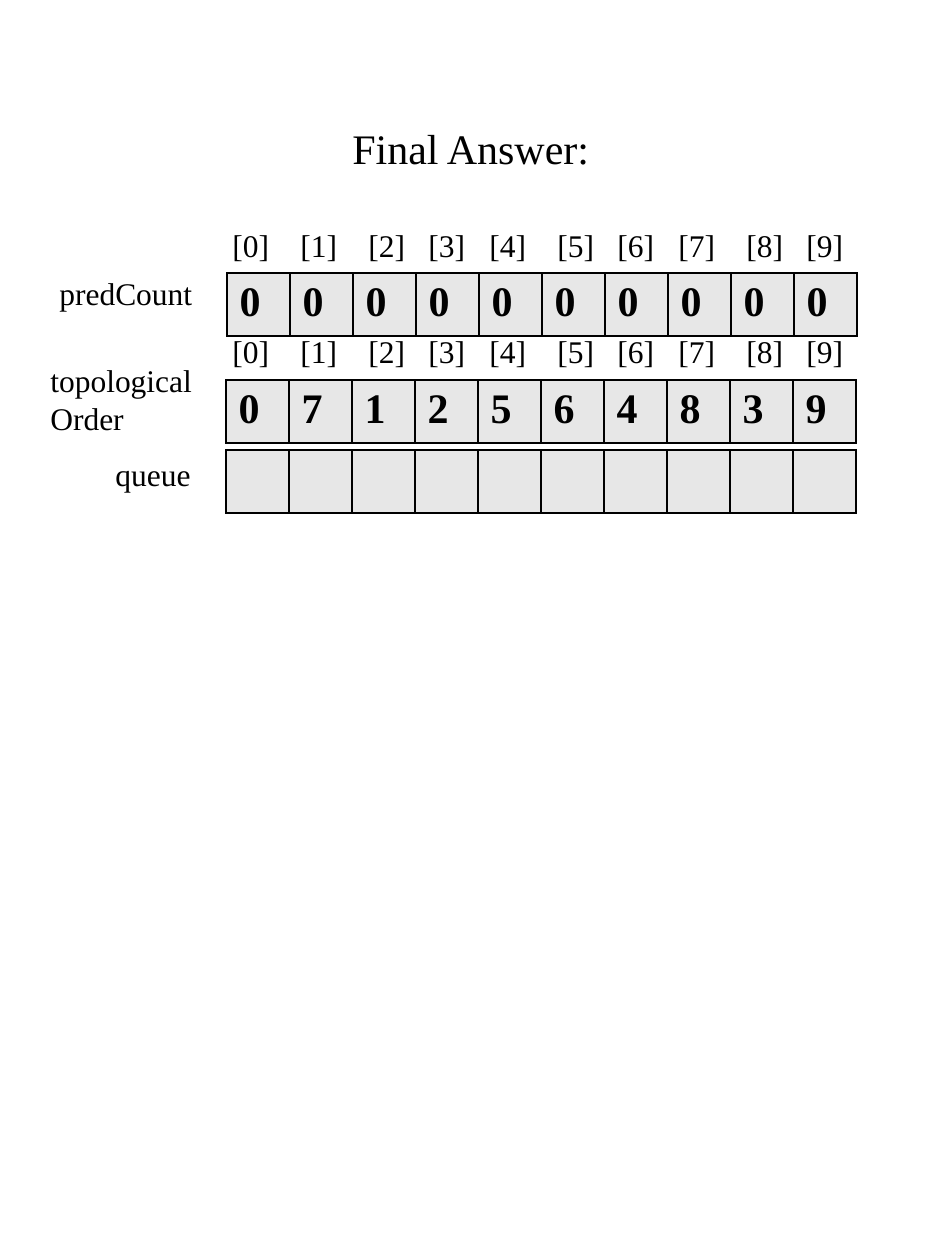
from lxml.etree import SubElement
from pptx import Presentation
from pptx.dml.color import RGBColor
from pptx.enum.text import MSO_AUTO_SIZE as AutoSize
from pptx.oxml import parse_xml
from pptx.oxml.ns import nsdecls, qn
from pptx.util import Emu, Pt

EMU_PER_PX = 914400 / 126
COLORS = {"ink": "000000", "cell": "E7E7E7"}
FONT = "Times New Roman"
CELL = 63
INDEX_STOPS = [68, 136, 196, 257, 325, 385, 446, 514, 574]


def px(length):
    return Emu(round(length * EMU_PER_PX))


class SlideBuilder:
    def __init__(self, page):
        self.page = page

    def style(self, para, size, bold=False):
        font = para.font
        font.name, font.size, font.bold = FONT, Pt(size), bold
        font.color.rgb = RGBColor.from_string(COLORS["ink"])

    def text(self, left, top, width, height, content, size=18, wrap=True):
        box = self.page.shapes.add_textbox(px(left), px(top), px(width), px(height))
        frame = box.text_frame
        frame.word_wrap = wrap
        frame.auto_size = AutoSize.SHAPE_TO_FIT_TEXT
        para = frame.paragraphs[0]
        para.text = content
        self.style(para, size)
        return para

    def indices(self, top):
        """Write [0] to [9] in one line, spaced by tab stops."""
        labels = "\t".join(f"[{i}]" for i in range(len(INDEX_STOPS) + 1))
        para = self.text(220, top, 650, 50, labels)
        properties = para._p.get_or_add_pPr()
        stops = parse_xml(f"<a:tabLst {nsdecls('a')}/>")
        for stop in INDEX_STOPS:
            SubElement(stops, qn("a:tab"), pos=str(px(stop)), algn="l")
        properties.insert(0, stops)

    def array(self, left, top, values):
        """Draw one row of square cells."""
        count = len(values)
        frame = self.page.shapes.add_table(
            1, count, px(left), px(top), px(CELL * count), px(CELL))
        table = frame.table
        table.first_row = table.horz_banding = False
        for cell, value in zip(table.iter_cells(), values):
            cell.text = value
            self.style(cell.text_frame.paragraphs[0], 24, bold=True)
            cell.fill.solid()
            cell.fill.fore_color.rgb = RGBColor.from_string(COLORS["cell"])
            self.borders(cell)

    def borders(self, cell):
        properties = cell._tc.get_or_add_tcPr()
        for place, side in enumerate("LRTB"):
            properties.insert(place, parse_xml(
                f'<a:ln{side} {nsdecls("a")} w="{Pt(1)}"><a:solidFill>'
                f'<a:srgbClr val="{COLORS["ink"]}"/></a:solidFill></a:ln{side}>'))


def main():
    deck = Presentation()
    deck.slide_width, deck.slide_height = px(945), px(1260)
    slide = SlideBuilder(deck.slides.add_slide(deck.slide_layouts[6]))

    slide.text(340, 116, 265, 63, "Final Answer:", size=24, wrap=False)

    slide.array(227, 273, "0" * 10)
    slide.indices(220)
    slide.text(47, 268, 160, 50, "predCount")

    slide.array(226, 380, "0712564839")
    slide.indices(326)
    slide.text(38, 355, 176, 89, "topologicalOrder")

    slide.array(226, 450, [""] * 10)
    slide.text(103, 449, 102, 50, "queue", wrap=False)

    deck.save("out.pptx")


if __name__ == "__main__":
    main()
